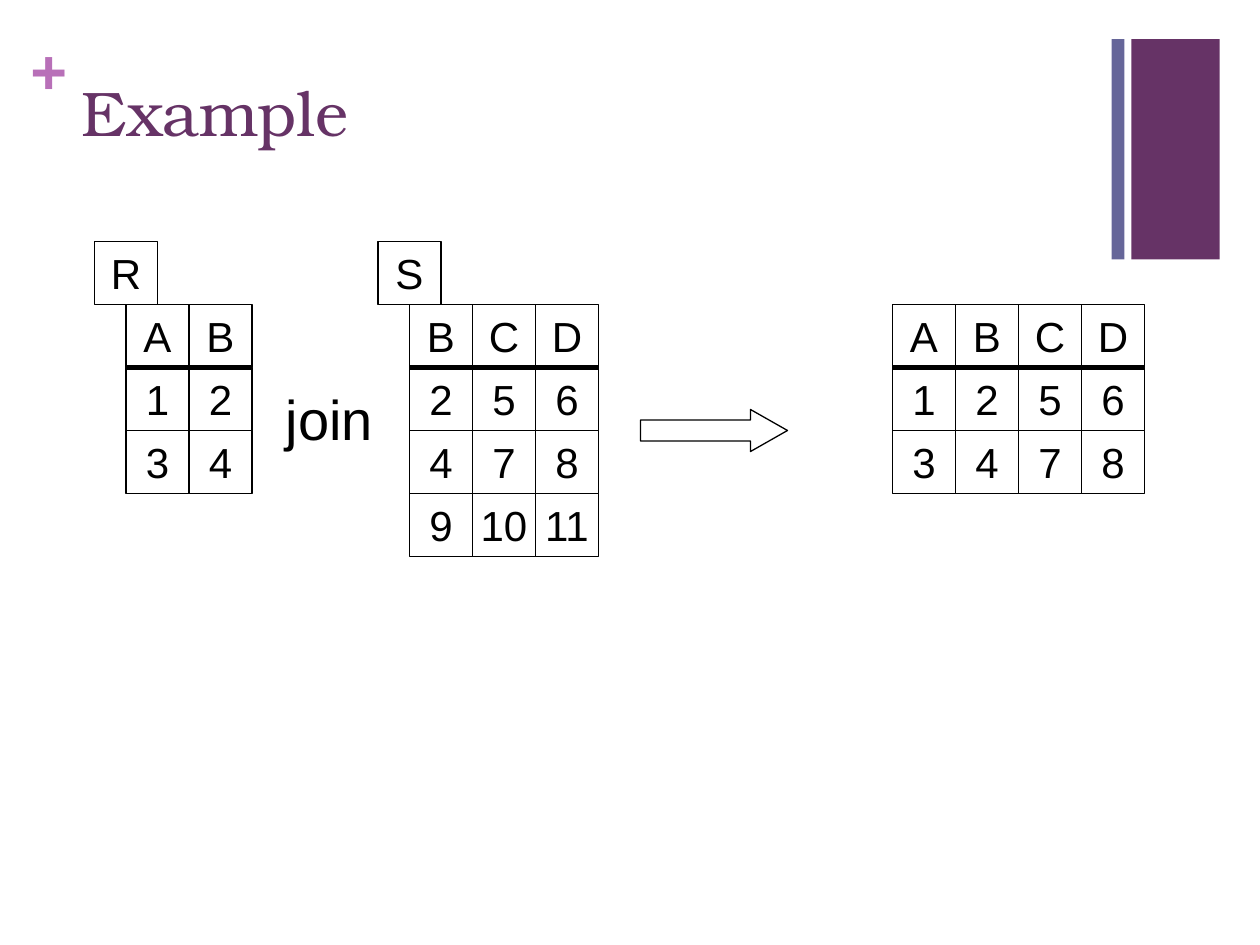
"""Build a slide that shows a join of relations R and S."""
from dataclasses import dataclass

from lxml.etree import SubElement
from pptx import Presentation
from pptx.dml.color import RGBColor
from pptx.enum.shapes import MSO_CONNECTOR as Link, MSO_SHAPE as Preset
from pptx.enum.text import MSO_ANCHOR as Anchor, PP_ALIGN as Align
from pptx.oxml.ns import qn
from pptx.shapes.autoshape import Shape
from pptx.slide import Slide
from pptx.text.text import TextFrame
from pptx.util import Pt

BLACK = RGBColor(0x00, 0x00, 0x00)
WHITE = RGBColor(0xFF, 0xFF, 0xFF)
PURPLE = RGBColor(0x66, 0x33, 0x66)
SLATE = RGBColor(0x66, 0x66, 0x99)
ORCHID = RGBColor(0xB8, 0x70, 0xB8)
SANS = "Arial"
SERIF = "TeX Gyre Bonum"
CELL = 36
GRID_TOP = 174
THIN = 0.75
THICK = 3


@dataclass(frozen=True)
class Frame:
    """Position and size in points."""
    left: float
    top: float
    width: float
    height: float

    def lengths(self) -> tuple[Pt, ...]:
        """Give the four values as lengths."""
        return tuple(Pt(value) for value in (self.left, self.top, self.width, self.height))


@dataclass(frozen=True)
class Style:
    """Look of a piece of text."""
    size: float
    font: str = SANS
    color: RGBColor = BLACK
    bold: bool = False


@dataclass(frozen=True)
class Relation:
    """A relation with its rows, header first, and an optional name."""
    left: float
    rows: tuple[str, ...]
    name: str = ""


@dataclass(frozen=True)
class Label:
    """A free piece of text."""
    text: str
    frame: Frame
    style: Style
    inset: bool = True
    wrap: bool = True


CELL_STYLE = Style(24)
RELATIONS = (
    Relation(72, ("A B", "1 2", "3 4"), "R"),
    Relation(234, ("B C D", "2 5 6", "4 7 8", "9 10 11"), "S"),
    Relation(510, ("A B C D", "1 2 5 6", "3 4 7 8")),
)
LABELS = (
    Label("+", Frame(17.28, 18, 20.16, 43.2), Style(36, SANS, ORCHID, True), inset=False),
    Label("Example", Frame(39.6, 38.5, 594.72, 87.84), Style(36, SERIF, PURPLE)),
    Label("join", Frame(156.24, 216, 64.08, 46.08), Style(32), wrap=False),
)


def write(text_frame: TextFrame, text: str, style: Style, align: Align = Align.LEFT) -> None:
    """Fill a text frame with one styled paragraph."""
    text_frame.text = text
    para = text_frame.paragraphs[0]
    para.alignment = align
    for span in para.runs:
        span.font.size = Pt(style.size)
        span.font.name = style.font
        span.font.bold = style.bold
        span.font.color.rgb = style.color


def add_label(page: Slide, label: Label) -> None:
    """Draw a text box."""
    text_frame = page.shapes.add_textbox(*label.frame.lengths()).text_frame
    text_frame.word_wrap = label.wrap
    if not label.inset:
        text_frame.margin_left = text_frame.margin_right = 0
        text_frame.margin_top = text_frame.margin_bottom = 0
    write(text_frame, label.text, label.style)


def add_block(page: Slide, preset: Preset, frame: Frame, fill: RGBColor, outlined: bool = False) -> Shape:
    """Draw a filled preset shape."""
    box = page.shapes.add_shape(preset, *frame.lengths())
    box.shadow.inherit = False
    box.fill.solid()
    box.fill.fore_color.rgb = fill
    if outlined:
        box.line.color.rgb = BLACK
        box.line.width = Pt(THIN)
    else:
        box.line.fill.background()
    return box


def add_cell(page: Slide, left: float, top: float, text: str) -> None:
    """Draw one square cell with centred text."""
    box = add_block(page, Preset.RECTANGLE, Frame(left, top, CELL, CELL), WHITE, outlined=True)
    box.text_frame.word_wrap = False
    box.text_frame.vertical_anchor = Anchor.MIDDLE
    write(box.text_frame, text, CELL_STYLE, Align.CENTER)


def add_rule(page: Slide, left: float, top: float, width: float) -> None:
    """Draw a thick horizontal line."""
    rule = page.shapes.add_connector(Link.STRAIGHT, Pt(left), Pt(top), Pt(left + width), Pt(top))
    rule.line.color.rgb = BLACK
    rule.line.width = Pt(THICK)
    SubElement(rule._element.spPr, qn("a:effectLst"))


def add_relation(page: Slide, relation: Relation) -> None:
    """Draw a relation as a grid of cells, with its name at the upper left corner."""
    rows = [row.split() for row in relation.rows]
    for row_index, row in enumerate(rows):
        for column_index, value in enumerate(row):
            add_cell(page, relation.left + CELL * column_index, GRID_TOP + CELL * row_index, value)
    add_rule(page, relation.left, GRID_TOP + CELL, CELL * len(rows[0]))
    if relation.name:
        add_cell(page, relation.left - CELL / 2, GRID_TOP - CELL, relation.name)


def main() -> None:
    """Draw the slide and save it."""
    deck = Presentation()
    deck.slide_width, deck.slide_height = Pt(720), Pt(540)
    page = deck.slides.add_slide(deck.slide_layouts[6])
    add_block(page, Preset.RECTANGLE, Frame(646.56, 22.32, 50.4, 126), PURPLE)
    add_block(page, Preset.RECTANGLE, Frame(635.3, 22.32, 7.2, 126), SLATE)
    for label in LABELS:
        add_label(page, label)
    for relation in RELATIONS:
        add_relation(page, relation)
    arrow = add_block(page, Preset.RIGHT_ARROW, Frame(366, 234, 84, 24), WHITE, outlined=True)
    arrow.adjustments[0] = 0.5
    arrow.adjustments[1] = 0.88
    deck.save("out.pptx")


if __name__ == "__main__":
    main()
